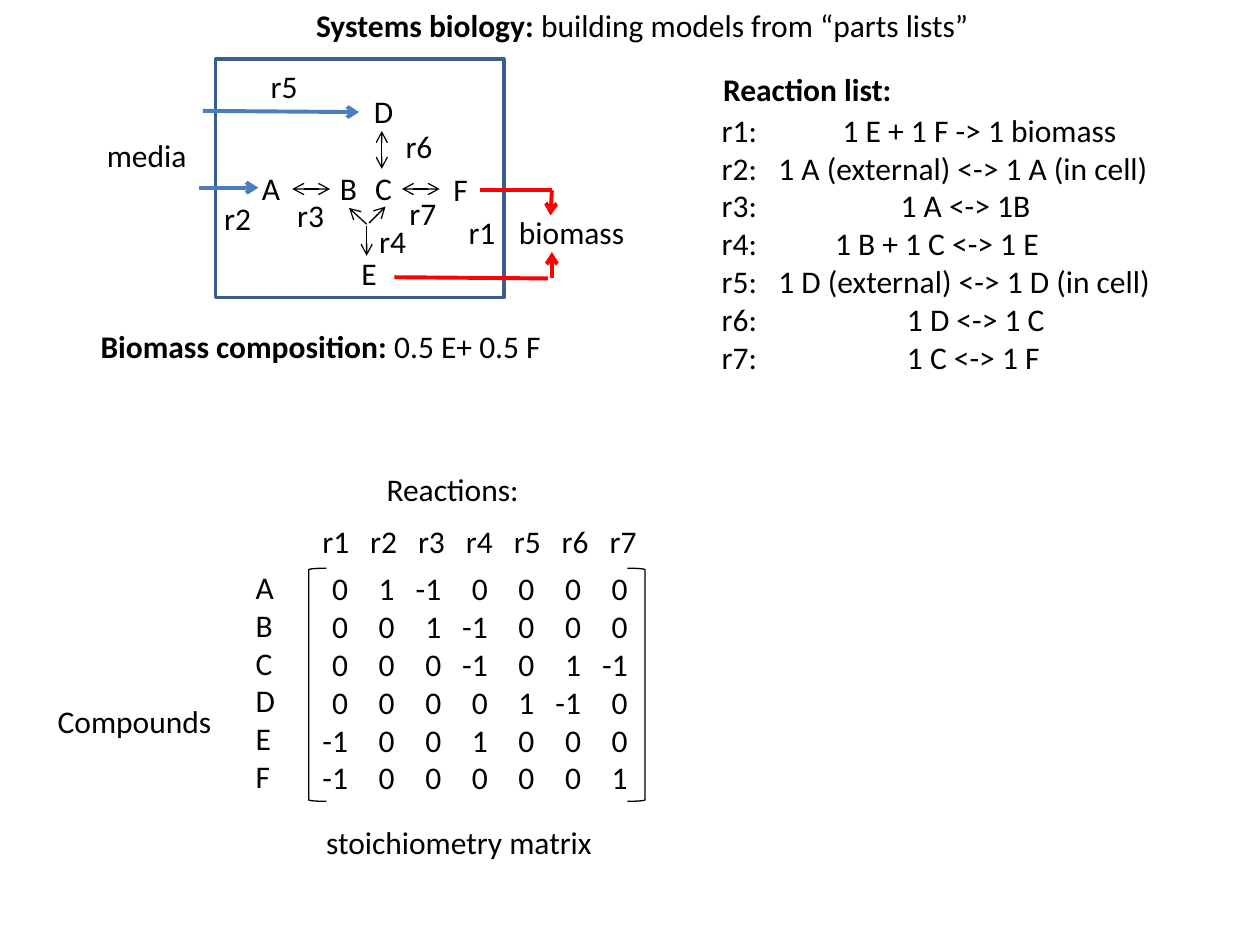
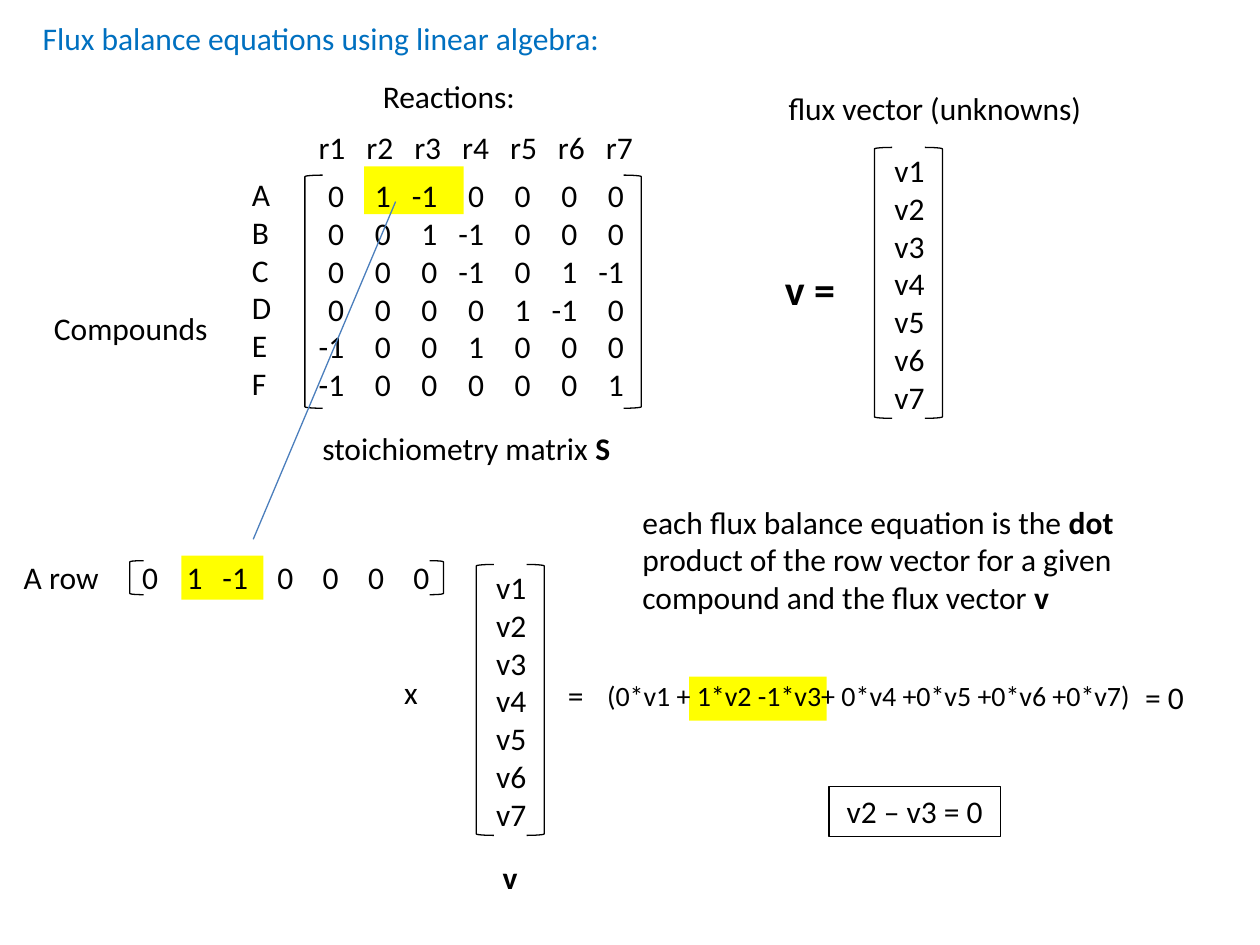
from pptx import Presentation
from pptx.dml.color import RGBColor
from pptx.enum.shapes import MSO_CONNECTOR as Connector, MSO_SHAPE as Shape
from pptx.enum.text import PP_ALIGN as Align
from pptx.oxml.ns import qn
from pptx.util import Inches, Pt
from lxml.etree import SubElement

# Shared style and a grid of 10 columns by 7.5 rows
COLORS = {"text": "000000", "title": "0070C0", "highlight": "FFFF00",
          "uptake": "4B7EBC", "cell": "3A5F8C", "biomass": "FF0000"}
FONT = "Calibri"
WIDTH, HEIGHT = Inches(10), Inches(7.5)
COLUMN, ROW = WIDTH / 10, HEIGHT / 7.5
INSET = 0.1
LABEL_HEIGHT = 0.4
LINE_HEIGHT = 0.3

# Content
REACTIONS = [f"r{number}" for number in range(1, 8)]
FLUXES = [f"v{number}" for number in range(1, 8)]
COMPOUNDS = "ABCDEF"
STOICHIOMETRY = [
    [0, 1, -1, 0, 0, 0, 0],
    [0, 0, 1, -1, 0, 0, 0],
    [0, 0, 0, -1, 0, 1, -1],
    [0, 0, 0, 0, 1, -1, 0],
    [-1, 0, 0, 1, 0, 0, 0],
    [-1, 0, 0, 0, 0, 0, 1],
]
# Equation and its indent from the reaction name
EQUATIONS = [
    ("1 E + 1 F -> 1 biomass", 0.96),
    ("1 A (external) <-> 1 A (in cell)", 0.45),
    ("1 A <-> 1B", 1.42),
    ("1 B + 1 C <-> 1 E", 0.9),
    ("1 D (external) <-> 1 D (in cell)", 0.45),
    ("1 D <-> 1 C", 1.47),
    ("1 C <-> 1 F", 1.47),
]


def color(name):
    return RGBColor.from_string(COLORS[name])


def place(left, top, width, height):
    return (round(left * COLUMN), round(top * ROW),
            round(width * COLUMN), round(height * ROW))


def set_tabs(paragraph, positions, align):
    tab_list = SubElement(paragraph._p.get_or_add_pPr(), qn("a:tabLst"))
    for position in positions:
        SubElement(tab_list, qn("a:tab"), pos=str(round(position * COLUMN)), algn=align)


def add_text(slide, lines, left, top, width, size=18, ink="text", align=Align.LEFT,
             wrap=False, tabs=None, tab_align="l"):
    """Write one paragraph a line; **marks** enclose bold words; tabs hold stops per line."""
    height = LABEL_HEIGHT + (len(lines) - 1) * LINE_HEIGHT
    box = slide.shapes.add_textbox(*place(left, top, width, height))
    frame = box.text_frame
    frame.word_wrap = wrap
    for index, line in enumerate(lines):
        paragraph = frame.add_paragraph() if index else frame.paragraphs[0]
        paragraph.alignment = align
        if tabs:
            set_tabs(paragraph, tabs[index], tab_align)
        font = paragraph.font
        font.name, font.size = FONT, Pt(size)
        font.color.rgb = color(ink)
        for part, words in enumerate(line.split("**")):
            if words:
                run = paragraph.add_run()
                run.text = words
                if part % 2:
                    run.font.bold = True
    return box


def add_outline(slide, kind, left, top, width, height, ink="text", weight=0.75):
    shape = slide.shapes.add_shape(kind, *place(left, top, width, height))
    shape.shadow.inherit = False
    shape.fill.background()
    shape.line.color.rgb = color(ink)
    shape.line.width = Pt(weight)
    return shape


def add_highlight(slide, left, top, width, height):
    shape = slide.shapes.add_shape(Shape.RECTANGLE, *place(left, top, width, height))
    shape.shadow.inherit = False
    shape.fill.solid()
    shape.fill.fore_color.rgb = color("highlight")
    shape.line.fill.background()


def add_brackets(slide, left, top, right, height, hook=0.14):
    add_outline(slide, Shape.LEFT_BRACKET, left, top, hook, height)
    closing = add_outline(slide, Shape.LEFT_BRACKET, right - hook, top, hook, height)
    closing._element.spPr.get_or_add_xfrm().set("flipH", "1")


def add_line(slide, start, end, ink="text", weight=0.75, arrows=()):
    """Draw a line; arrows names the ends that carry an arrowhead."""
    line = slide.shapes.add_connector(
        Connector.STRAIGHT, *place(*start, *end))
    line.line.color.rgb = color(ink)
    line.line.width = Pt(weight)
    for end_name in arrows:
        SubElement(line.line._get_or_add_ln(), qn(f"a:{end_name}End"), type="arrow")
    SubElement(line._element.spPr, qn("a:effectLst"))


def add_matrix(slide, left, top, caption):
    """Stoichiometry matrix with its row and column names."""
    pitch = 0.37
    add_text(slide, ["Reactions:"], left + 2.61, top, 1.26)
    add_text(slide, ["Compounds"], left, top + 1.84, 1.44)
    add_text(slide, COMPOUNDS, left + 1.57, top + 0.78, 0.36)
    add_brackets(slide, left + 2.09, top + 0.83, left + 4.76, 1.85)
    stops = [0.38 * index for index in range(1, len(REACTIONS))]
    add_text(slide, ["\t".join(REACTIONS)], left + 2.1, top + 0.41, 2.9,
             wrap=True, tabs=[stops])
    for index, values in enumerate(zip(*STOICHIOMETRY)):
        add_text(slide, [str(value) for value in values], left + 2.09 + index * pitch,
                 top + 0.79, 0.41, align=Align.RIGHT, wrap=True)
    add_text(slide, [caption], left + 2.13, top + 2.8, 3, wrap=True)


def add_flux_vector(slide, left, top):
    add_text(slide, FLUXES, left + 0.06, top, 0.44)
    add_brackets(slide, left, top + 0.02, left + 0.54, 2.15)


def add_network(slide):
    """Cell with its metabolites, reactions and exchanges."""
    labels = [
        ("A", 1.98, 1.29, 0.35), ("B", 2.6, 1.29, 0.34), ("C", 2.88, 1.29, 0.34),
        ("D", 2.87, 0.68, 0.36), ("E", 2.77, 1.97, 0.32), ("F", 3.5, 1.3, 0.32),
        ("r1", 3.62, 1.64, 0.42), ("r2", 1.68, 1.53, 0.42), ("r3", 2.26, 1.51, 0.42),
        ("r4", 2.91, 1.71, 0.42), ("r5", 2.05, 0.48, 0.42), ("r6", 3.12, 0.96, 0.42),
        ("r7", 3.15, 1.49, 0.42), ("media", 0.75, 1.03, 0.84),
        ("biomass", 4.02, 1.64, 1.05),
        ("**Biomass composition: **0.5 E+ 0.5 F", 0.7, 2.55, 3.73),
    ]
    for words, left, top, width in labels:
        add_text(slide, [words], left, top, width)

    # Reactions inside the cell
    both = ("head", "tail")
    for start, end, arrows in [
        ((2.32, 1.5), (2.62, 1.5), both),
        ((3.03, 1.34), (3.03, 1.04), both),
        ((3.19, 1.5), (3.49, 1.5), both),
        ((2.77, 1.65), (2.91, 1.78), ("head",)),
        ((3.06, 1.64), (2.93, 1.77), ("head",)),
        ((2.91, 1.79), (2.91, 2.03), ("tail",)),
    ]:
        add_line(slide, start, end, arrows=arrows)

    # Uptake from the media and flow into biomass
    add_outline(slide, Shape.RECTANGLE, 1.71, 0.47, 2.29, 1.89, "cell", 2)
    for ink, start, end, arrows in [
        ("uptake", (1.58, 1.49), (2.05, 1.49), ("tail",)),
        ("uptake", (1.61, 0.88), (2.85, 0.89), ("tail",)),
        ("biomass", (3.81, 1.51), (4.38, 1.51), ()),
        ("biomass", (3.13, 2.2), (4.35, 2.21), ()),
        ("biomass", (4.38, 1.51), (4.37, 1.71), ("tail",)),
        ("biomass", (4.38, 2.21), (4.38, 2), ("tail",)),
    ]:
        add_line(slide, start, end, ink, 2.25, arrows)


def build_model_slide(slide):
    add_text(slide, ["**Systems biology:** building models from “parts lists”"],
             2.41, 0, 5.62, wrap=True)
    add_network(slide)
    add_text(slide, ["**Reaction list:**"], 5.64, 0.51, 1.55)
    add_text(slide, [f"{name}:\t{equation}"
                     for name, (equation, _) in zip(REACTIONS, EQUATIONS)],
             5.63, 0.83, 3.9, wrap=True, tabs=[[indent] for _, indent in EQUATIONS])
    add_matrix(slide, 0.36, 3.68, "stoichiometry matrix")


def build_flux_slide(slide):
    # Highlights lie behind the numbers
    add_highlight(slide, 5.47, 5.37, 1.09, 0.35)
    add_highlight(slide, 1.44, 4.41, 0.65, 0.35)
    add_highlight(slide, 2.89, 1.32, 0.79, 0.38)

    add_text(slide, ["Flux balance equations using linear algebra:"],
             0.24, 0.1, 4.68, ink="title")
    add_matrix(slide, 0.33, 0.56, "stoichiometry matrix **S**")
    add_text(slide, ["flux vector (unknowns)"], 6.16, 0.66, 2.55)
    add_text(slide, ["**v =**"], 6.13, 2.04, 0.61, size=24)
    add_flux_vector(slide, 6.94, 1.15)

    # Row of compound A times the flux vector
    add_line(slide, (3.14, 1.6), (2.01, 4.28), "uptake")
    add_text(slide, ["A row"], 0.09, 4.38, 0.8)
    stops = [0.12 + 0.36 * index for index in range(1, len(REACTIONS))]
    add_text(slide, ["\t".join(str(value) for value in STOICHIOMETRY[0])],
             1.03, 4.38, 2.7, wrap=True, tabs=[stops], tab_align="r")
    add_brackets(slide, 1.03, 4.45, 3.52, 0.27, hook=0.11)
    add_text(slide, ["x"], 3.11, 5.29, 0.31)
    add_flux_vector(slide, 3.78, 4.46)
    add_text(slide, ["**v**"], 3.89, 6.76, 0.32)

    # Resulting balance equation
    add_text(slide, ["each flux balance equation is the **dot** product of the row vector "
                     "for a given compound and the flux vector **v**"],
             5, 3.94, 4.61, wrap=True)
    add_text(slide, ["="], 4.41, 5.32, 0.33)
    add_text(slide, ["(0*v1 + 1*v2 -1*v3+ 0*v4 +0*v5 +0*v6 +0*v7)"],
             4.72, 5.34, 4.42, size=16)
    add_text(slide, ["= 0"], 8.99, 5.33, 0.51)
    result = add_text(slide, ["v2 – v3 = 0"], 6.58, 6.24, 1.36, align=Align.CENTER)
    result.line.color.rgb = color("text")
    result.line.width = Pt(0.75)


def main():
    presentation = Presentation()
    presentation.slide_width, presentation.slide_height = WIDTH, HEIGHT
    blank = presentation.slide_layouts[6]
    for build in (build_model_slide, build_flux_slide):
        build(presentation.slides.add_slide(blank))
    presentation.save("out.pptx")


if __name__ == "__main__":
    main()
